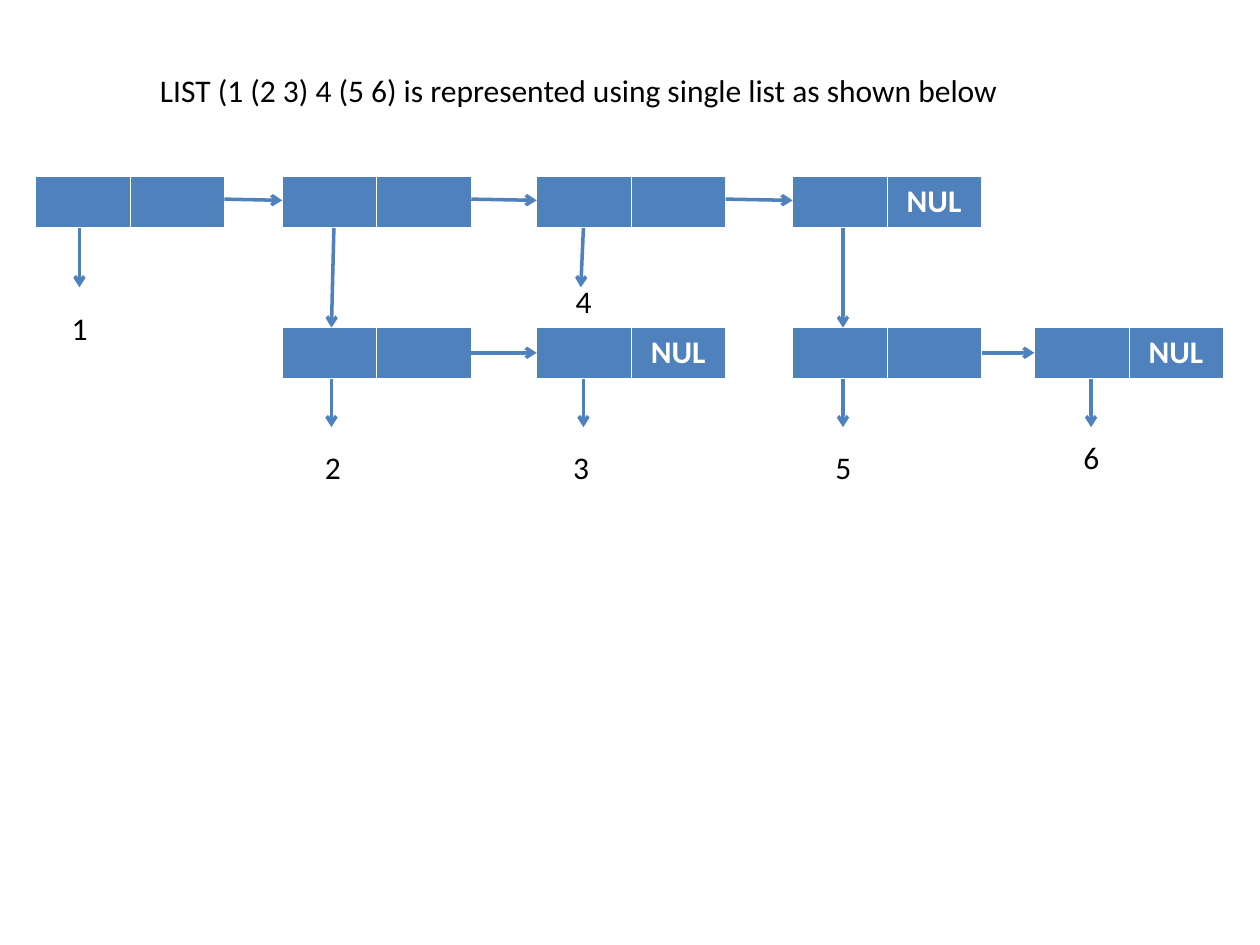
from lxml.etree import SubElement
from pptx import Presentation
from pptx.dml.color import RGBColor
from pptx.enum.shapes import MSO_CONNECTOR
from pptx.enum.text import MSO_ANCHOR, PP_ALIGN
from pptx.oxml.ns import qn
from pptx.util import Pt

# Content
TITLE = "LIST (1 (2 3) 4 (5 6) is represented using single list as shown below"
NUL = " NUL"
COLUMN_X = [20.2, 161.3, 306.7, 452.9, 591.1]
ROW_Y = [100.8, 187.2]
# Node: column, row, text of the link cell
NODES = [(0, 0, ""), (1, 0, ""), (2, 0, ""), (3, 0, NUL),
         (1, 1, ""), (2, 1, NUL), (3, 1, ""), (4, 1, NUL)]
# Pointer down from a node: column, row, start x, end x, end y
POINTERS = [(1, 0, 190.8, 189.4, 187.2), (3, 0, 481.7, 481.7, 187.2),
            (0, 0, 45.4, 45.4, 164.2), (2, 0, 333.4, 331.9, 164.2),
            (1, 1, 189.4, 189.4, 244.1), (2, 1, 333.4, 333.4, 244.1),
            (3, 1, 481.7, 481.7, 244.1), (4, 1, 623.5, 623.5, 244.1)]
# Atom: text, left, top
ATOMS = [("1", 33.8, 172.8), ("2", 178.6, 252.7), ("3", 320.4, 252.7),
         ("5", 470.2, 252.7), ("4", 321.8, 157.7), ("6", 612, 247)]

CELL_W, CELL_H = 54, 29.5
LINK_Y = [(113.8, 114.5), (201.6, 201.6)]
BLUE, WHITE, BLACK = "4F81BD", "FFFFFF", "000000"
BORDERS = [("a:lnL", 0.45), ("a:lnR", 0.45), ("a:lnT", 0.45), ("a:lnB", 1.47)]


def rgb(value):
    return RGBColor.from_string(value)


def write(tf, text, color, bold=False):
    p = tf.paragraphs[0]
    p.alignment = PP_ALIGN.LEFT
    r = p.add_run()
    r.text = text
    r.font.name, r.font.size, r.font.bold = "Calibri", Pt(18), bold
    r.font.color.rgb = rgb(color)


def format_cell(cell):
    tc_pr = cell._tc.get_or_add_tcPr()
    for tag, width in BORDERS:
        ln = SubElement(tc_pr, qn(tag), w=str(Pt(width)))
        fill = SubElement(ln, qn("a:solidFill"))
        SubElement(fill, qn("a:srgbClr"), val=WHITE)
    cell.fill.solid()
    cell.fill.fore_color.rgb = rgb(BLUE)


def add_node(s, x, y, text):
    table = s.shapes.add_table(1, 2, Pt(x), Pt(y), Pt(2 * CELL_W), Pt(CELL_H)).table
    table.first_row = table.horz_banding = False
    for cell in table.iter_cells():
        format_cell(cell)
    if text:
        write(table.cell(0, 1).text_frame, text, WHITE, True)


def add_arrow(s, x1, y1, x2, y2):
    line = s.shapes.add_connector(MSO_CONNECTOR.STRAIGHT, Pt(x1), Pt(y1), Pt(x2), Pt(y2))
    line.line.color.rgb = rgb(BLUE)
    line.line.width = Pt(2)
    SubElement(line.line._get_or_add_ln(), qn("a:tailEnd"), type="arrow")
    SubElement(line._element.spPr, qn("a:effectLst"))


prs = Presentation()
prs.slide_width, prs.slide_height = Pt(720), Pt(540)
s = prs.slides.add_slide(prs.slide_layouts[5])

# Title
title = s.shapes.title
title.left, title.top, title.width, title.height = Pt(84.2), Pt(36.7), Pt(555.8), Pt(28.8)
title.text_frame.vertical_anchor = MSO_ANCHOR.TOP
write(title.text_frame, TITLE, BLACK)

# List nodes
for col, row, text in NODES:
    add_node(s, COLUMN_X[col], ROW_Y[row], text)

# Links to the next node, from every node that does not end its list
for col, row, text in NODES:
    if text != NUL:
        y1, y2 = LINK_Y[row]
        add_arrow(s, COLUMN_X[col] + 2 * CELL_W, y1, COLUMN_X[col + 1], y2)

# Pointers down to sublists and atoms
for col, row, x1, x2, y2 in POINTERS:
    add_arrow(s, x1, ROW_Y[row] + CELL_H, x2, y2)

# Atoms
for text, x, y in ATOMS:
    sp = s.shapes.add_textbox(Pt(x), Pt(y), Pt(23), Pt(28.8))
    sp.text_frame.word_wrap = False
    write(sp.text_frame, text, BLACK)

prs.save("out.pptx")
